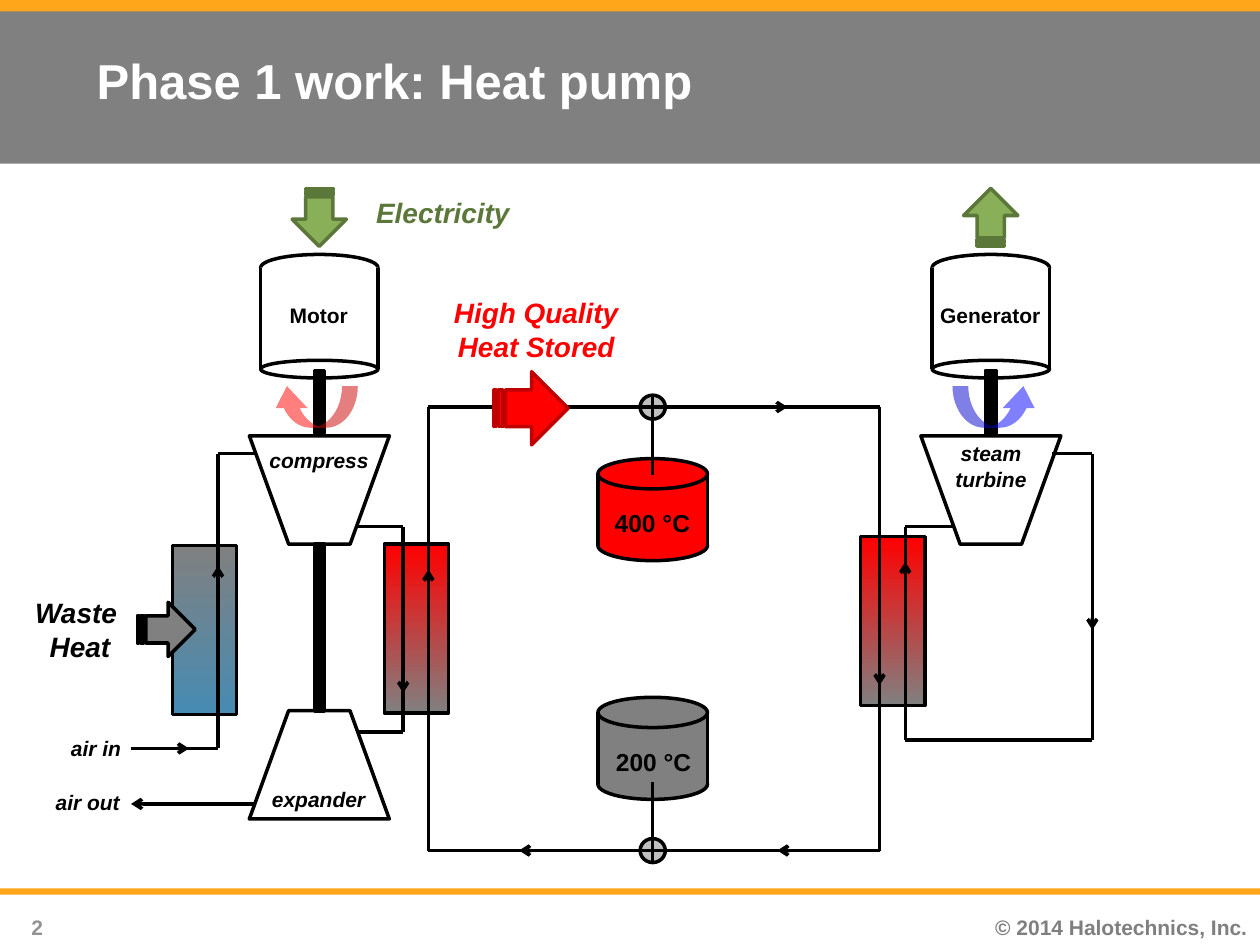
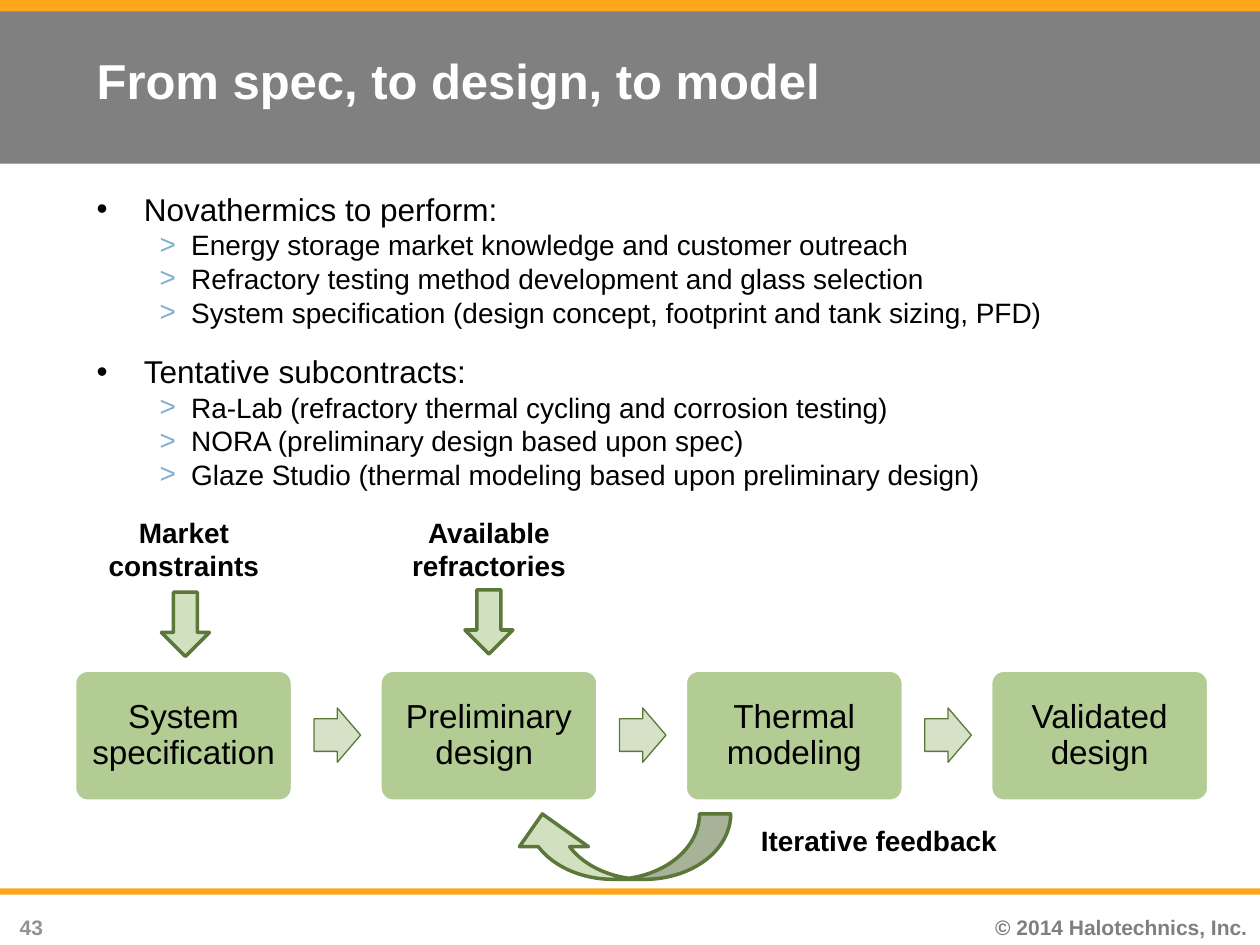
"""Build the heat pump and design flow slides."""
import typing

import lxml.etree
import pptx
import pptx.dml.color
import pptx.enum.shapes
import pptx.enum.text
import pptx.oxml.ns
import pptx.shapes.autoshape
import pptx.shapes.shapetree
import pptx.slide
import pptx.util

Pt = pptx.util.Pt
Kind = pptx.enum.shapes.MSO_SHAPE
Align = pptx.enum.text.PP_ALIGN
Anchor = pptx.enum.text.MSO_ANCHOR
Fit = pptx.enum.text.MSO_AUTO_SIZE
Shape = pptx.shapes.autoshape.Shape
Tree = pptx.shapes.shapetree.SlideShapes | pptx.shapes.shapetree.GroupShapes

FONT = "Arial"
BLACK, WHITE, GREY, AMBER = "000000", "FFFFFF", "808080", "FFA61B"
RED, BLUE, GREEN, LEAF, PALE = "FF0000", "0000FF", "5B7739", "89B058", "D1E0BF"


class Box(typing.NamedTuple):
    x: float
    y: float
    w: float
    h: float


class Form(typing.NamedTuple):
    kind: Kind
    box: Box
    fill: str
    line: str | None = BLACK
    width: float = 2
    turn: float = 0
    flip: bool = False
    adj: tuple[float, ...] = ()
    clear: bool = False


class Note(typing.NamedTuple):
    text: str
    box: Box
    size: float = 12
    color: str = BLACK
    slant: bool = False
    align: Align = Align.CENTER
    wrap: bool = True


class Pipe(typing.NamedTuple):
    x1: float
    y1: float
    x2: float
    y2: float
    tip: bool = False


class Drum(typing.NamedTuple):
    mid: float
    top: float
    width: float
    lid: float
    base: float
    foot: float
    fill: str
    below: bool = False


def paint(color: str) -> pptx.dml.color.RGBColor:
    """Turn a hex string into a colour."""
    return pptx.dml.color.RGBColor.from_string(color)


def add_run(para: typing.Any, text: str, size: float, color: str = BLACK,
            bold: bool = False, slant: bool = False) -> None:
    """Add one styled run to a paragraph."""
    run = para.add_run()
    run.text = text
    font = run.font
    font.name, font.size, font.bold, font.italic = FONT, Pt(size), bold, slant
    font.color.rgb = paint(color)


def draw(tree: Tree, form: Form) -> Shape:
    """Draw a preset shape."""
    shape = tree.add_shape(form.kind, *map(Pt, form.box))
    shape.shadow.inherit = False
    shape.rotation = form.turn
    for spot, value in enumerate(form.adj):
        shape.adjustments[spot] = value
    shape.fill.solid()
    shape.fill.fore_color.rgb = paint(form.fill)
    if form.clear:
        tone = shape.element.spPr.find(".//" + pptx.oxml.ns.qn("a:srgbClr"))
        lxml.etree.SubElement(tone, pptx.oxml.ns.qn("a:alpha"), val="50000")
    if form.line:
        shape.line.color.rgb = paint(form.line)
        shape.line.width = Pt(form.width)
    else:
        shape.line.fill.background()
    if form.flip:
        shape.element.spPr.xfrm.set("flipH", "1")
    return shape


def join(tree: Tree, pipe: Pipe) -> None:
    """Draw a straight line, with an arrowhead at its end if it has a tip."""
    line = tree.add_connector(pptx.enum.shapes.MSO_CONNECTOR.STRAIGHT, *map(Pt, pipe[:4]))
    line.line.color.rgb = paint(BLACK)
    line.line.width = Pt(2)
    part = line.element.spPr
    if pipe.tip:
        edge = part.find(pptx.oxml.ns.qn("a:ln"))
        lxml.etree.SubElement(edge, pptx.oxml.ns.qn("a:tailEnd"), type="arrow")
    lxml.etree.SubElement(part, pptx.oxml.ns.qn("a:effectLst"))


def write(tree: Tree, note: Note, fit: bool = True) -> pptx.text.text.TextFrame:
    """Add a bold label in a text box."""
    frame = tree.add_textbox(*map(Pt, note.box)).text_frame
    frame.word_wrap = note.wrap
    frame.auto_size = Fit.SHAPE_TO_FIT_TEXT if fit else Fit.NONE
    for spot, text in enumerate(note.text.split("\n")):
        para = frame.add_paragraph() if spot else frame.paragraphs[0]
        para.alignment = note.align
        add_run(para, text, note.size, note.color, True, note.slant)
    return frame


def start(deck: typing.Any, title: str, number: str) -> pptx.slide.Slide:
    """Add a slide with its bands, title and footer."""
    slide = deck.slides.add_slide(deck.slide_layouts[6])
    tree = slide.shapes
    for y, h, fill in ((0, 93.6, GREY), (507.6, 3.6, AMBER), (0, 6.5, AMBER)):
        draw(tree, Form(Kind.RECTANGLE, Box(0, y, 720, h), fill, None))
    write(tree, Note("© 2014 Halotechnics, Inc.", Box(540.7, 519.1, 179.3, 20.9),
                     color="7F7F7F", align=Align.RIGHT), False)
    write(tree, Note(number, Box(0, 519.1, 31.7, 18.7), color="939393", align=Align.RIGHT), False)
    head = write(tree, Note(title, Box(48.2, -1.4, 648, 94.3), 28, WHITE, align=Align.LEFT), False)
    head.vertical_anchor = Anchor.MIDDLE
    return slide


def add_drum(tree: Tree, drum: Drum) -> None:
    """Draw a cylinder as a group, seen from above or below."""
    group = tree.add_group_shape().shapes
    left, right = drum.mid - drum.width / 2, drum.mid + drum.width / 2
    high, low = drum.top + drum.lid / 2, drum.base + drum.foot / 2
    lid = Form(Kind.OVAL, Box(left, drum.top, drum.width, drum.lid), drum.fill)
    foot = Form(Kind.OVAL, Box(left, drum.base, drum.width, drum.foot), drum.fill)
    body = Form(Kind.RECTANGLE, Box(left, high, drum.width, low - high), drum.fill, None)
    for form in (lid, body, foot) if drum.below else (foot, body, lid):
        draw(group, form)
    for x in (left, right):
        join(group, Pipe(x, high, x, low))


def add_rotor(tree: Tree, mid: float, sign: int, tint: str) -> None:
    """Draw a motor or generator with its shaft, wheel and arrows."""
    add_drum(tree, Drum(mid, 145.4, 67, 15.1, 205.9, 10.1, WHITE, True))
    draw(tree, Form(Kind.TRAPEZOID, Box(mid - 40, 249.1, 80, 61.9), WHITE,
                    turn=180, adj=(0.363,)))
    draw(tree, Form(Kind.RECTANGLE, Box(mid - 2.9, 211.7, 5.8, 36), BLACK))
    draw(tree, Form(Kind.CURVED_LEFT_ARROW, Box(mid - 11.9 - 2.9 * sign, 207.7, 23.8, 49.7),
                    tint, None, turn=180 - 90 * sign, flip=sign < 0,
                    adj=(0.38, 0.771, 0.531), clear=True))
    draw(tree, Form(Kind.STRIPED_RIGHT_ARROW, Box(mid - 16.6, 108.7, 33.1, 31), LEAF, GREEN,
                    turn=180 - 90 * sign))


def show_pump(deck: typing.Any) -> None:
    """Build the heat pump slide."""
    tree = start(deck, "Phase 1 work: Heat pump", "2").shapes
    for x, y, tones in ((98.6, 311.8, (GREY, "478BB2")), (219.6, 311, (RED, GREY)),
                        (491.8, 306.7, (RED, GREY))):
        shape = draw(tree, Form(Kind.RECTANGLE, Box(x, y, 36.7, 96.5), GREY))
        shape.fill.gradient()
        shape.fill.gradient_angle = 270
        for stop, tone in zip(shape.fill.gradient_stops, tones):
            stop.color.rgb = paint(tone)
    motor, power, mid = 182.5, 566.2, 373
    add_rotor(tree, motor, 1, RED)
    add_rotor(tree, power, -1, BLUE)
    draw(tree, Form(Kind.TRAPEZOID, Box(motor - 40, 406.1, 80, 61.9), WHITE, adj=(0.363,)))
    draw(tree, Form(Kind.RECTANGLE, Box(motor - 2.9, 310.7, 5.8, 95.8), BLACK))
    left, right, top, base = 244.8, 502.6, 232.6, 486
    pipes = (
        Pipe(230.4, 301, 203, 301), Pipe(230.4, 301, 230.4, 418.3),
        Pipe(230.4, 418.3, 204.5, 418.3), Pipe(230.4, 330.5, 230.4, 396, True),
        Pipe(124.6, 259.2, 124.6, 427.7), Pipe(146.9, 259.2, 124.6, 259.2),
        Pipe(124.6, 389.5, 124.6, 323.3, True), Pipe(124.6, 427.7, 85.7, 427.7),
        Pipe(74.9, 427.7, 108, 427.7, True), Pipe(145.4, 459.4, 74.9, 459.4, True),
        Pipe(545.8, 301, 517.3, 301), Pipe(517.3, 423, 517.3, 301),
        Pipe(517.3, 387.4, 517.3, 321.1, True), Pipe(624.2, 259.2, 601.2, 259.2),
        Pipe(624.2, 423, 624.2, 259.2), Pipe(624.2, 423, 517.3, 423),
        Pipe(624.2, 293.8, 624.2, 360, True),
        Pipe(left, base, left, top), Pipe(left, 391.7, left, 325.4, True),
        Pipe(right, top, right, base), Pipe(right, 326.2, right, 391.7, True),
        Pipe(mid, top, left, top), Pipe(right, top, mid, top),
        Pipe(mid, base, left, base), Pipe(right, base, mid, base),
        Pipe(275.8, top, 308.9, top, True), Pipe(416.9, top, 450, top, True),
        Pipe(329.8, base, 296.6, base, True), Pipe(476.6, base, 444.2, base, True),
    )
    for pipe in pipes:
        join(tree, pipe)
    for y in (top, base):
        draw(tree, Form(Kind.FLOWCHART_OR, Box(mid - 7.2, y - 6.8, 14.4, 13.7), "BFBFBF"))
    for y, fill in ((262.1, RED), (398.5, GREY)):
        add_drum(tree, Drum(mid, y, 62.6, 17.3, y + 41, 17.3, fill))
    for y in (top, base - 38.9):
        join(tree, Pipe(mid, y, mid, y + 38.9))
    for box, fill, line in ((Box(78.5, 344.2, 33.1, 31), GREY, BLACK),
                            (Box(282.2, 212.4, 42.5, 41.8), RED, "C00000")):
        draw(tree, Form(Kind.STRIPED_RIGHT_ARROW, box, fill, line))
    for note in (
        Note("Waste \nHeat", Box(12.2, 337, 67, 46.1), 16, slant=True),
        Note("Electricity", Box(198, 108, 110.2, 26.6), 16, GREEN, True),
        Note("High Quality Heat Stored", Box(239.8, 165.6, 133.2, 46.1), 16, RED, True),
        Note("Motor", Box(158.4, 169.2, 49, 21.6), align=Align.LEFT),
        Note("Generator", Box(522, 169.2, 87.8, 21.6)),
        Note("compress", Box(146.9, 252, 71.3, 21.6), slant=True, align=Align.LEFT, wrap=False),
        Note("expander", Box(148.3, 445.7, 68.4, 21.6), slant=True, align=Align.LEFT, wrap=False),
        Note("steam turbine", Box(532.8, 248.4, 67, 36), slant=True),
        Note("400 °C", Box(344.2, 286.6, 57.6, 24.5), 14, align=Align.LEFT, wrap=False),
        Note("200 °C", Box(344.9, 423.4, 57.6, 24.5), 14, align=Align.LEFT, wrap=False),
        Note("air in", Box(32.4, 416.9, 43.9, 21.6), slant=True, align=Align.RIGHT, wrap=False),
        Note("air out", Box(23.8, 447.8, 51.8, 21.6), slant=True, align=Align.RIGHT, wrap=False),
    ):
        write(tree, note)


def add_point(para: typing.Any, text: str, sub: bool) -> None:
    """Write one bulleted line at the first or second level."""
    props = para._p.get_or_add_pPr()
    props.set("marL", str(Pt(54 if sub else 27)))
    props.set("indent", str(-Pt(18 if sub else 27)))
    qn = pptx.oxml.ns.qn
    if sub:
        tone = lxml.etree.SubElement(props, qn("a:buClr"))
        lxml.etree.SubElement(tone, qn("a:srgbClr"), val="7FB0CC")
    lxml.etree.SubElement(props, qn("a:buFont"), typeface=FONT)
    lxml.etree.SubElement(props, qn("a:buChar"), char=">" if sub else "•")
    add_run(para, text, 16 if sub else 18)


def show_flow(deck: typing.Any) -> None:
    """Build the design flow slide."""
    tree = start(deck, "From spec, to design, to model", "43").shapes
    lists = {
        "Novathermics to perform:": (
            "Energy storage market knowledge and customer outreach",
            "Refractory testing method development and glass selection",
            "System specification (design concept, footprint and tank sizing, PFD)"),
        "Tentative subcontracts:": (
            "Ra-Lab (refractory thermal cycling and corrosion testing)",
            "NORA (preliminary design based upon spec)",
            "Glaze Studio (thermal modeling based upon preliminary design)"),
    }
    frame = tree.add_textbox(*map(Pt, Box(48.2, 105.1, 599.8, 190))).text_frame
    frame.word_wrap = True
    para = frame.paragraphs[0]
    for spot, (head, points) in enumerate(lists.items()):
        if spot:
            para = frame.add_paragraph()
            para.space_before = Pt(13.5)
        add_point(para, head, False)
        for text in points:
            add_point(frame.add_paragraph(), text, True)
    steps = ("System specification ", "Preliminary design ", "Thermal modeling", "Validated design")
    for spot, text in enumerate(steps):
        x = 42.6 + 174.5 * spot
        if spot:
            draw(tree, Form(Kind.RIGHT_ARROW, Box(x - 37.6, 404.6, 26.6, 31), "D6E2C8", GREEN,
                            0.75, adj=(0.6, 0.5)))
        card = draw(tree, Form(Kind.ROUNDED_RECTANGLE, Box(x, 383, 124.6, 74.9), "B3CC94", WHITE,
                               adj=(0.1,))).text_frame
        card.word_wrap = True
        card.vertical_anchor = Anchor.MIDDLE
        card.margin_left = card.margin_right = card.margin_top = card.margin_bottom = Pt(5.7)
        line = card.paragraphs[0]
        line.alignment, line.line_spacing = Align.CENTER, 0.9
        add_run(line, text, 19)
    for x, y in ((92.2, 338.4), (265.7, 337)):
        draw(tree, Form(Kind.DOWN_ARROW, Box(x, y, 27.4, 36.7), PALE, GREEN))
    draw(tree, Form(Kind.CURVED_UP_ARROW, Box(290.2, 465.1, 127.4, 37.4), PALE, GREEN,
                    flip=True, adj=(0.478, 1.055, 0.501)))
    for note in (Note("Market constraints", Box(54, 290.9, 102.2, 46.1), 16),
                 Note("Available refractories", Box(225.4, 290.9, 108, 46.1), 16),
                 Note("Iterative feedback", Box(427.7, 467.3, 178.6, 26.6), 16, align=Align.LEFT)):
        write(tree, note)


def main() -> None:
    """Build and save the deck."""
    deck = pptx.Presentation()
    deck.slide_width, deck.slide_height = Pt(720), Pt(540)
    show_pump(deck)
    show_flow(deck)
    deck.save("out.pptx")


if __name__ == "__main__":
    main()
